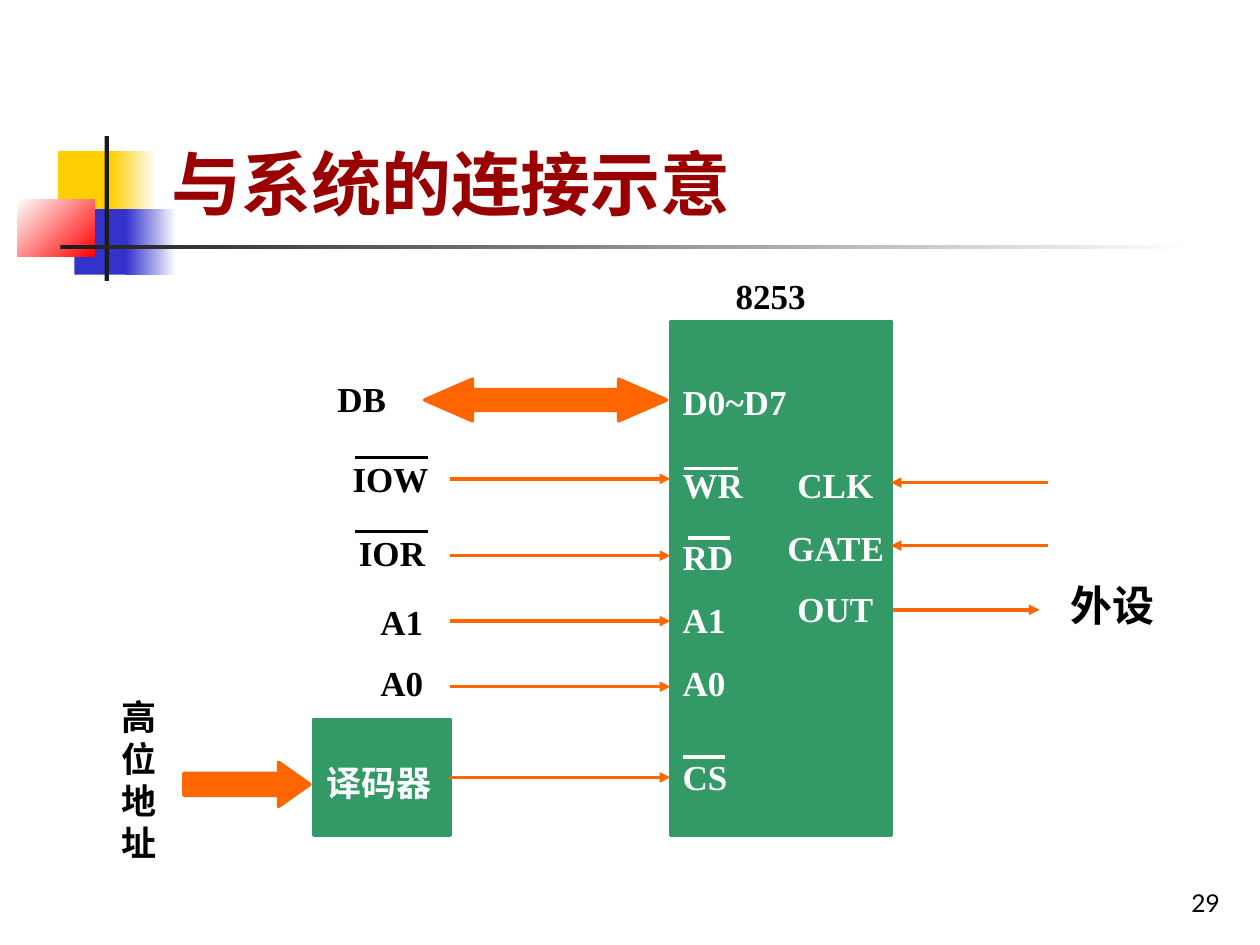
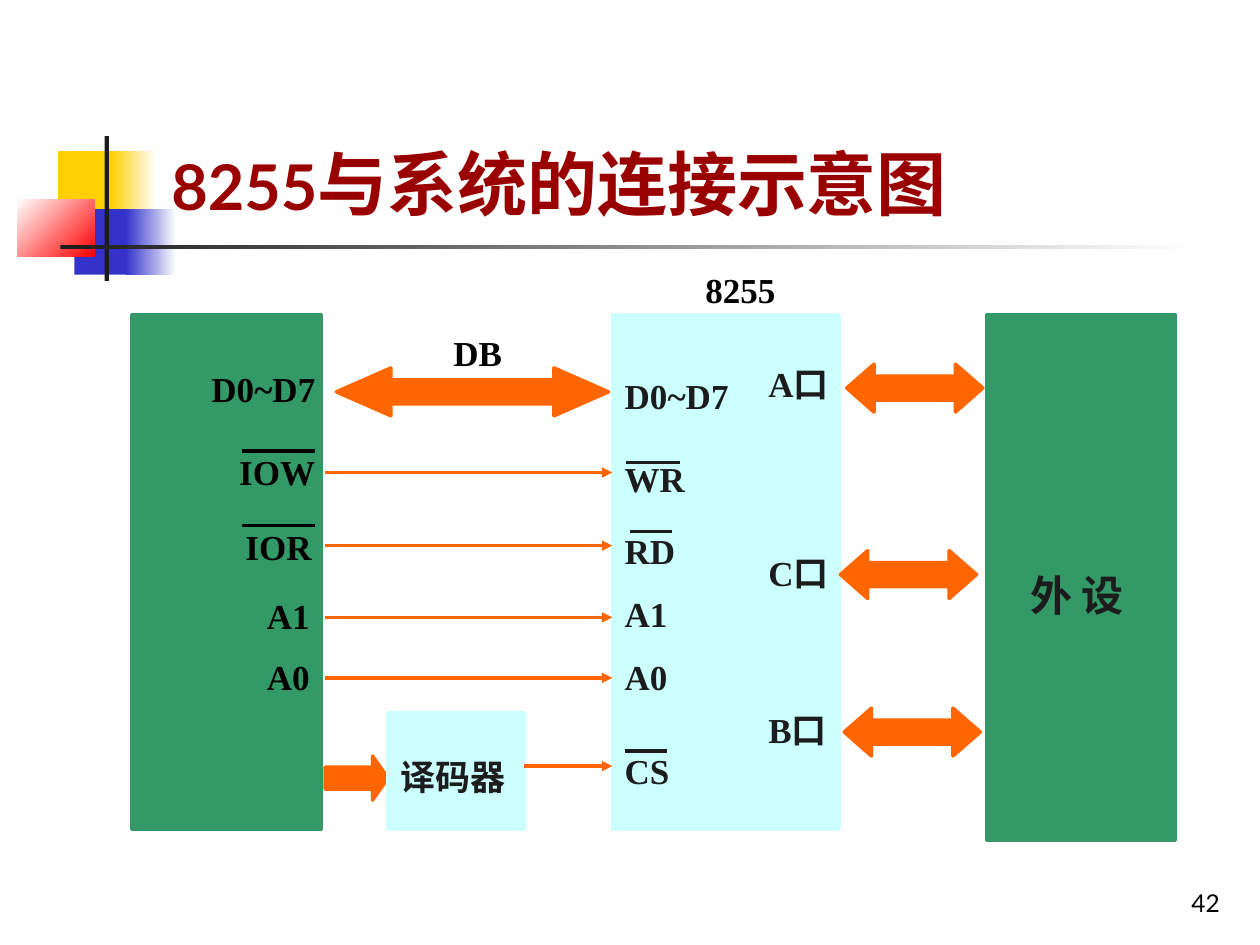
from dataclasses import dataclass

from lxml.etree import SubElement
from pptx import Presentation
from pptx.dml.color import RGBColor
from pptx.enum.shapes import MSO_CONNECTOR, MSO_SHAPE as SHAPE
from pptx.enum.text import MSO_ANCHOR, MSO_AUTO_SIZE, PP_ALIGN
from pptx.oxml.ns import qn
from pptx.util import Inches, Pt


@dataclass(frozen=True)
class Theme:
    title: str = "990000"
    green: str = "339966"
    cyan: str = "CCFFFF"
    orange: str = "FF6600"
    yellow: str = "FFCF01"
    blue: str = "3333CC"
    red: str = "FF0000"
    ink: str = "1C1C1C"
    black: str = "000000"
    white: str = "FFFFFF"
    heading_font: str = "Lato"
    label_font: str = "Times New Roman"
    title_size: int = 40
    title_digits: int = 36
    device_size: int = 24
    label_size: int = 20
    page_size: int = 14
    line: int = 2


T = Theme()
CELL = Inches(0.1)  # the slide is a grid of 100 columns by 75 rows


def block(s, kind, box, colors, angle=0, outline=True, adj=()):
    """Add a preset shape; two colours make a gradient."""
    sp = s.shapes.add_shape(kind, *(round(v * CELL) for v in box))
    sp.shadow.inherit = False
    if len(colors) == 2:
        sp.fill.gradient()
        sp.fill.gradient_angle = angle
        for stop, color in zip(sp.fill.gradient_stops, colors):
            stop.color.rgb = RGBColor.from_string(color)
    else:
        sp.fill.solid()
        sp.fill.fore_color.rgb = RGBColor.from_string(colors[0])
    if outline:
        sp.line.color.rgb = RGBColor.from_string(colors[0])
        sp.line.width = Pt(T.line)
    else:
        sp.line.fill.background()
    for i, value in enumerate(adj):
        sp.adjustments[i] = value
    return sp


def label(s, text, x, y, color, w=8.3, h=4.3, size=T.label_size, spacing=1.0, before=50):
    """Add a bold label; before is the space above in percent of a line."""
    sp = s.shapes.add_textbox(*(round(v * CELL) for v in (x, y, w, h)))
    tf = sp.text_frame
    tf.word_wrap = True
    p = tf.paragraphs[0]
    p.text = text
    p.line_spacing = spacing
    space = SubElement(p._p.get_or_add_pPr(), qn("a:spcBef"))
    SubElement(space, qn("a:spcPct")).set("val", str(before * 1000))
    font = p.runs[0].font
    font.name, font.size, font.bold = T.label_font, Pt(size), True
    font.color.rgb = RGBColor.from_string(color)
    return tf


prs = Presentation()
prs.slide_width, prs.slide_height = 100 * CELL, 75 * CELL
layout = prs.slide_layouts[5]

# Pins: name, rows below the chip's top, width
PINS = [("D0~D7", 4.2, 11.7), ("WR", 10.8, 8.3), ("RD", 16.5, 8.3),
        ("A1", 21.5, 8.3), ("A0", 26.5, 8.3), ("CS", 34, 8.3)]
# Bus signals: name, columns right of the bus labels, rows below the chip's top
SIGNALS = [("IOW", 0, 10.3), ("IOR", 0.5, 16.2), ("A1", 2.2, 21.7), ("A0", 2.2, 26.5)]
# Bars over active-low names: first and last column, row
PIN_BARS = [(1.1, 5.4, 11.7), (1.4, 4.7, 17.2), (1, 4.3, 34.6)]
SIGNAL_BARS = [(1.2, 7, 10.8), (1.2, 7, 16.7)]

DIAGRAMS = [
    dict(
        title=[("与系统的连接示意", T.title_size)], title_top=6.6, page="29",
        chip=("8253", 57.4), chip_box=(53.2, 25.5, 17.5, 40.8),
        chip_color=T.green, pin_color=T.white, bus_x=27, decoder_x=24.9,
        blocks=[],
        arrows=[(SHAPE.LEFT_RIGHT_ARROW, (33.7, 30.1, 19.2, 3.3), 1.15),
                (SHAPE.RIGHT_ARROW, (14.6, 60.5, 10, 3.5), 0.71)],
        labels=[("DB", 25.8, 29.5, T.black, 8.3, 4.3),
                ("CLK", 62.3, 36.3, T.white, 9.2, 4.3),
                ("GATE", 61.5, 41.3, T.white, 10.8, 4.3),
                ("OUT", 62.3, 46.1, T.white, 9.2, 4.3),
                ("高位地址", 8.7, 54.7, T.black, 6.7, 14.3)],
        device=("外设", 84, 45.5, T.black, 10.8, 5, T.device_size),
        wires=[(35.7, 53.2, y) for y in (38, 44.1, 49.3, 54.5, 61.7)]
        + [(83.2, 70.7, 38.3), (83.2, 70.7, 43.3), (70.9, 82.5, 48.4)],
    ),
    dict(
        title=[("8255", T.title_digits), ("与系统的连接示意图", T.title_size)],
        title_top=2.3, page="42",
        chip=("8255", 55), chip_box=(48.6, 25, 18, 40.8),
        chip_color=T.cyan, pin_color=T.ink, bus_x=18, decoder_x=30.8,
        blocks=[(10.5, 25, 15, 40.8), (78.3, 25, 15, 41.7)],
        arrows=[(SHAPE.LEFT_RIGHT_ARROW, (26.7, 29.2, 21.6, 3.8), 1.14),
                (SHAPE.RIGHT_ARROW, (25.8, 60, 5, 3.5), 0.35)]
        + [(SHAPE.LEFT_RIGHT_ARROW, (x, y, 10.8, 3.8), 0.57)
           for x, y in ((67.2, 28.9), (66.7, 43.7), (67, 56.2))],
        labels=[("DB", 35, 25.8, T.black, 8.3, 4.3),
                ("D0~D7", 15.8, 28.7, T.black, 11.7, 4.3)]
        + [(port, 60, y, T.ink, 7.5, 4.3)
           for port, y in (("A口", 28.3), ("C口", 43.3), ("B口", 55.7))],
        device=("外 设", 80.8, 43.3, T.ink, 11.7, 6.4, T.device_size, 1.35, 90),
        wires=[(25.8, 48.6, y) for y in (37.5, 43.3, 49, 53.8)] + [(41.6, 48.6, 60.8)],
    ),
]

# Corner ornament: box, colours, gradient angle
ORNAMENT = [
    ((4.6, 12, 4.8, 5.2), [T.yellow], 0),
    ((8.8, 12, 3.6, 5.2), [T.yellow, T.white], 0),
    ((5.9, 16.6, 4.6, 5.2), [T.blue], 0),
    ((10, 16.6, 4, 5.2), [T.blue, T.white], 0),
    ((1.4, 15.8, 6.1, 4.6), [T.white, T.red], 315),
    ((8.3, 10.8, 0.35, 11.5), [T.ink], 0),
    ((4.8, 19.45, 90, 0.35), [T.ink, T.white], 0),
]

for d in DIAGRAMS:
    s = prs.slides.add_slide(layout)

    # Title and page number
    title = s.shapes.title
    title.left, title.top = round(12.6 * CELL), round(d["title_top"] * CELL)
    title.width, title.height = round(85.2 * CELL), round((18.3 - d["title_top"]) * CELL)
    tf = title.text_frame
    tf.auto_size = MSO_AUTO_SIZE.NONE
    tf.vertical_anchor = MSO_ANCHOR.BOTTOM
    p = tf.paragraphs[0]
    p.alignment = PP_ALIGN.LEFT
    for text, size in d["title"]:
        r = p.add_run()
        r.text = text
        r.font.name, r.font.size, r.font.bold = T.heading_font, Pt(size), True
        r.font.color.rgb = RGBColor.from_string(T.title)

    tf = label(s, d["page"], 77, 68.3, T.black, 20.8, 5, T.page_size, before=0)
    tf.vertical_anchor = MSO_ANCHOR.BOTTOM
    p = tf.paragraphs[0]
    p.alignment = PP_ALIGN.RIGHT
    p.runs[0].font.name, p.runs[0].font.bold = T.heading_font, False

    # Blocks and wide arrows
    chip_x, chip_y = d["chip_box"][:2]
    for box in d["blocks"]:
        block(s, SHAPE.RECTANGLE, box, [T.green])
    block(s, SHAPE.RECTANGLE, d["chip_box"], [d["chip_color"]])
    for kind, box, head in d["arrows"]:
        block(s, kind, box, [T.orange], adj=(0.5, head))
    block(s, SHAPE.RECTANGLE, (d["decoder_x"], chip_y + 31.6, 10.8, 9.2), [d["chip_color"]])

    # Names
    label(s, "译码器", d["decoder_x"], chip_y + 33.3, d["pin_color"], 11.7, 5.5,
          spacing=1.35, before=90)
    name, name_x = d["chip"]
    label(s, name, name_x, chip_y - 4.2, T.black)
    for name, dy, w in PINS:
        label(s, name, chip_x, chip_y + dy, d["pin_color"], w)
    for name, dx, dy in SIGNALS:
        label(s, name, d["bus_x"] + dx, chip_y + dy, T.black)
    for item in d["labels"] + [d["device"]]:
        label(s, *item)

    # Wires with arrowheads, then bars over active-low names
    lines = [(*wire, T.orange) for wire in d["wires"]]
    for bars, x, color in ((PIN_BARS, chip_x, d["pin_color"]), (SIGNAL_BARS, d["bus_x"], T.black)):
        lines += [(x + x1, x + x2, chip_y + y, color) for x1, x2, y in bars]
    for x1, x2, y, color in lines:
        c = s.shapes.add_connector(MSO_CONNECTOR.STRAIGHT,
                                   *(round(v * CELL) for v in (x1, y, x2, y)))
        c.line.color.rgb = RGBColor.from_string(color)
        c.line.width = Pt(T.line)
        if color == T.orange:
            SubElement(c.line._get_or_add_ln(), qn("a:tailEnd")).set("type", "triangle")
        SubElement(c._element.spPr, qn("a:effectLst"))

# The ornament is drawn once and moved to the layout both slides share
for box, colors, angle in ORNAMENT:
    sp = block(prs.slides[0], SHAPE.RECTANGLE, box, colors, angle, outline=False)
    layout.shapes.element.append(sp.element)

prs.save("out.pptx")
